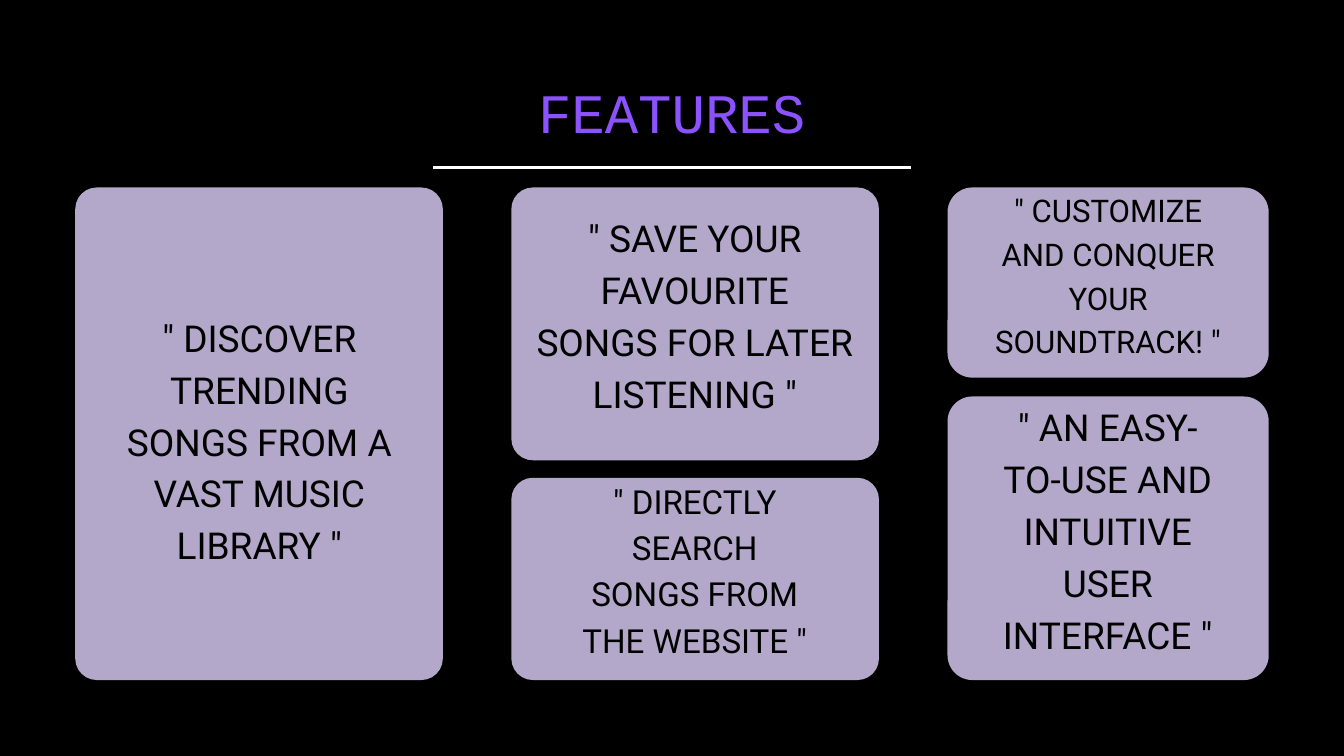
"""Build the features slide: a title over five rounded cards in three columns."""
import pptx
import pptx.dml.color
import pptx.enum.shapes
import pptx.enum.text
import pptx.oxml
import pptx.oxml.ns
import pptx.util

Inches = pptx.util.Inches
Pt = pptx.util.Pt

THEME = {
    "background": "000000", "title": "8C52FF", "rule": "FFFFFF",
    "card": "E4D6FF", "card_alpha": 79, "text": "000000",
    "title_font": "Courier New", "text_font": "Roboto",
    "title_size": 59.7, "large": 39.7, "medium": 35.5, "small": 33.4,
    "line_spacing": 1.4, "rule_width": 3,
}
SLIDE_SIZE = (20, 11.25)
TITLE = ("FEATURES", (7.54, 0.99, 4.91, 1.13))
RULE = (6.45, 13.55, 2.49)
TOP, BOTTOM = 2.79, 10.12

COLUMNS = [
    {"left": 1.12, "width": 5.47, "radius": 0.32, "cards": [
        (7.33, '" DISCOVER TRENDING SONGS FROM A VAST MUSIC LIBRARY "',
         "large", (1.79, 4.58, 4.14, 3.21)),
    ]},
    {"left": 7.61, "width": 5.47, "radius": 0.32, "cards": [
        (4.06, '" SAVE YOUR FAVOURITE SONGS FOR LATER LISTENING "',
         "large", (7.97, 3.1, 4.74, 3.21)),
        (3.01, '" DIRECTLY SEARCH SONGS FROM THE WEBSITE "',
         "medium", (8.64, 7.06, 3.4, 2.88)),
    ]},
    {"left": 14.1, "width": 4.78, "radius": 0.37, "cards": [
        (2.83, '" CUSTOMIZE AND CONQUER YOUR SOUNDTRACK! "',
         "small", (14.8, 2.76, 3.38, 2.69)),
        (4.22, '" AN EASY-TO-USE AND INTUITIVE USER INTERFACE "',
         "large", (14.86, 5.91, 3.25, 3.98)),
    ]},
]


def color(name):
    return pptx.dml.color.RGBColor.from_string(THEME[name])


def write(box, text, size, font, color_name):
    frame = box.text_frame
    frame.word_wrap = True
    frame.auto_size = pptx.enum.text.MSO_AUTO_SIZE.NONE
    frame.vertical_anchor = pptx.enum.text.MSO_ANCHOR.TOP
    frame.margin_left = frame.margin_right = 0
    frame.margin_top = frame.margin_bottom = 0
    frame.text = text
    para = frame.paragraphs[0]
    para.alignment = pptx.enum.text.PP_ALIGN.CENTER
    para.line_spacing = Pt(round(THEME[size] * THEME["line_spacing"], 1))
    para.font.size = Pt(THEME[size])
    para.font.name = THEME[font]
    para.font.color.rgb = color(color_name)


def add_title(page):
    text, place = TITLE
    title = page.shapes.title
    title.left, title.top, title.width, title.height = map(Inches, place)
    write(title, text, "title_size", "title_font", "title")


def add_rule(page):
    start, end, height = map(Inches, RULE)
    rule = page.shapes.add_connector(
        pptx.enum.shapes.MSO_CONNECTOR.STRAIGHT, start, height, end, height)
    rule.line.color.rgb = color("rule")
    rule.line.width = Pt(THEME["rule_width"])
    pptx.oxml.ns.qn("a:effectLst")
    rule.element.spPr.append(pptx.oxml.parse_xml(
        f"<a:effectLst {pptx.oxml.ns.nsdecls('a')}/>"))


def add_card(page, left, top, width, height, radius):
    card = page.shapes.add_shape(
        pptx.enum.shapes.MSO_SHAPE.ROUNDED_RECTANGLE,
        *map(Inches, (left, top, width, height)))
    card.adjustments[0] = radius / min(width, height)
    card.shadow.inherit = False
    card.line.fill.background()
    card.fill.solid()
    card.fill.fore_color.rgb = color("card")
    paint = card.element.spPr.find(".//" + pptx.oxml.ns.qn("a:srgbClr"))
    paint.append(pptx.oxml.parse_xml(
        f"<a:alpha {pptx.oxml.ns.nsdecls('a')} val=\"{THEME['card_alpha'] * 1000}\"/>"))


def add_column(page, column):
    cards = column["cards"]
    free = BOTTOM - TOP - sum(card[0] for card in cards)
    gap = free / max(len(cards) - 1, 1)
    top = TOP
    for height, text, size, place in cards:
        add_card(page, column["left"], top, column["width"], height, column["radius"])
        box = page.shapes.add_textbox(*map(Inches, place))
        write(box, text, size, "text_font", "text")
        top += height + gap


def main():
    deck = pptx.Presentation()
    deck.slide_width, deck.slide_height = map(Inches, SLIDE_SIZE)
    page = deck.slides.add_slide(deck.slide_layouts.get_by_name("Title Only"))
    page.background.fill.solid()
    page.background.fill.fore_color.rgb = color("background")
    add_title(page)
    add_rule(page)
    for column in COLUMNS:
        add_column(page, column)
    deck.save("out.pptx")


if __name__ == "__main__":
    main()
